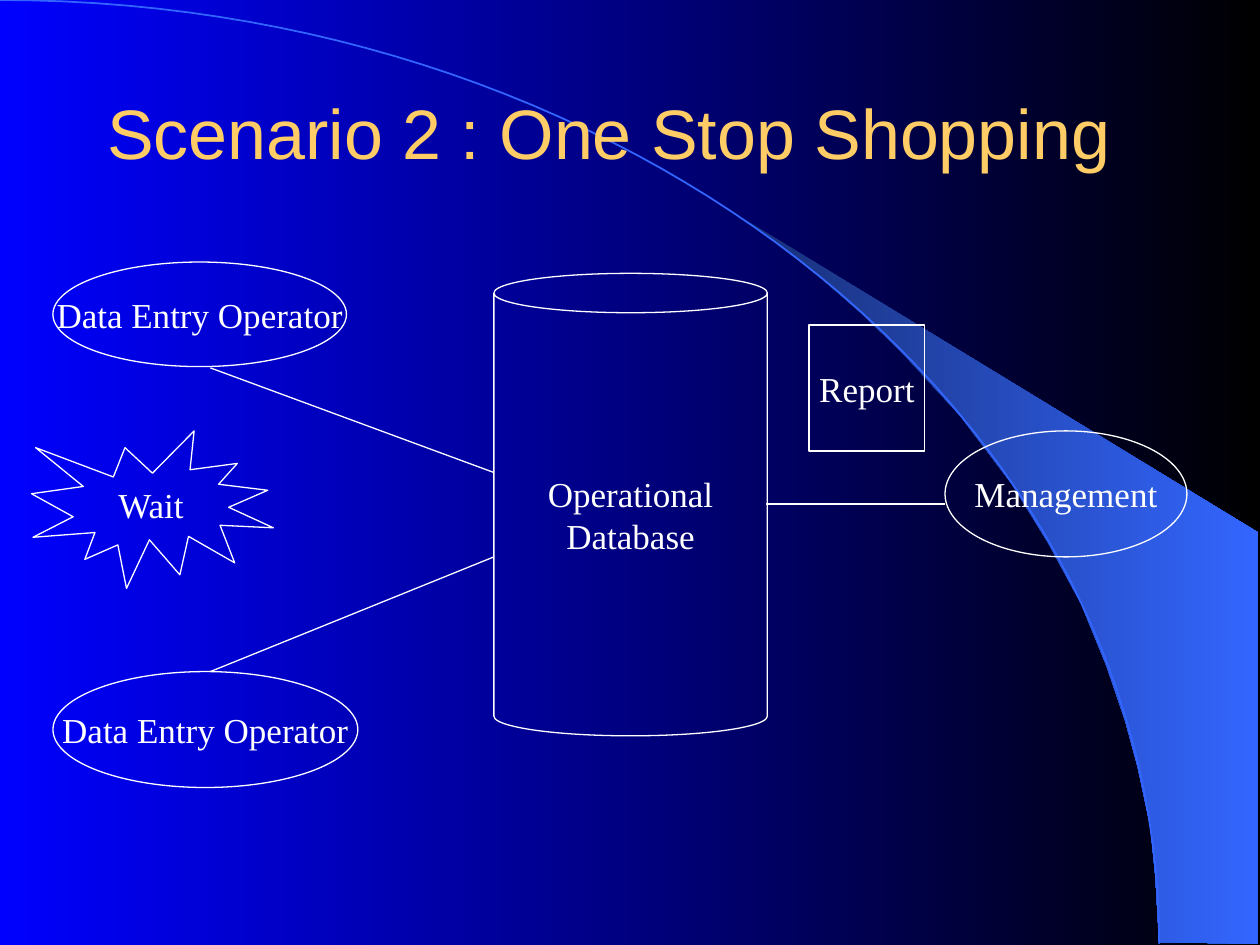
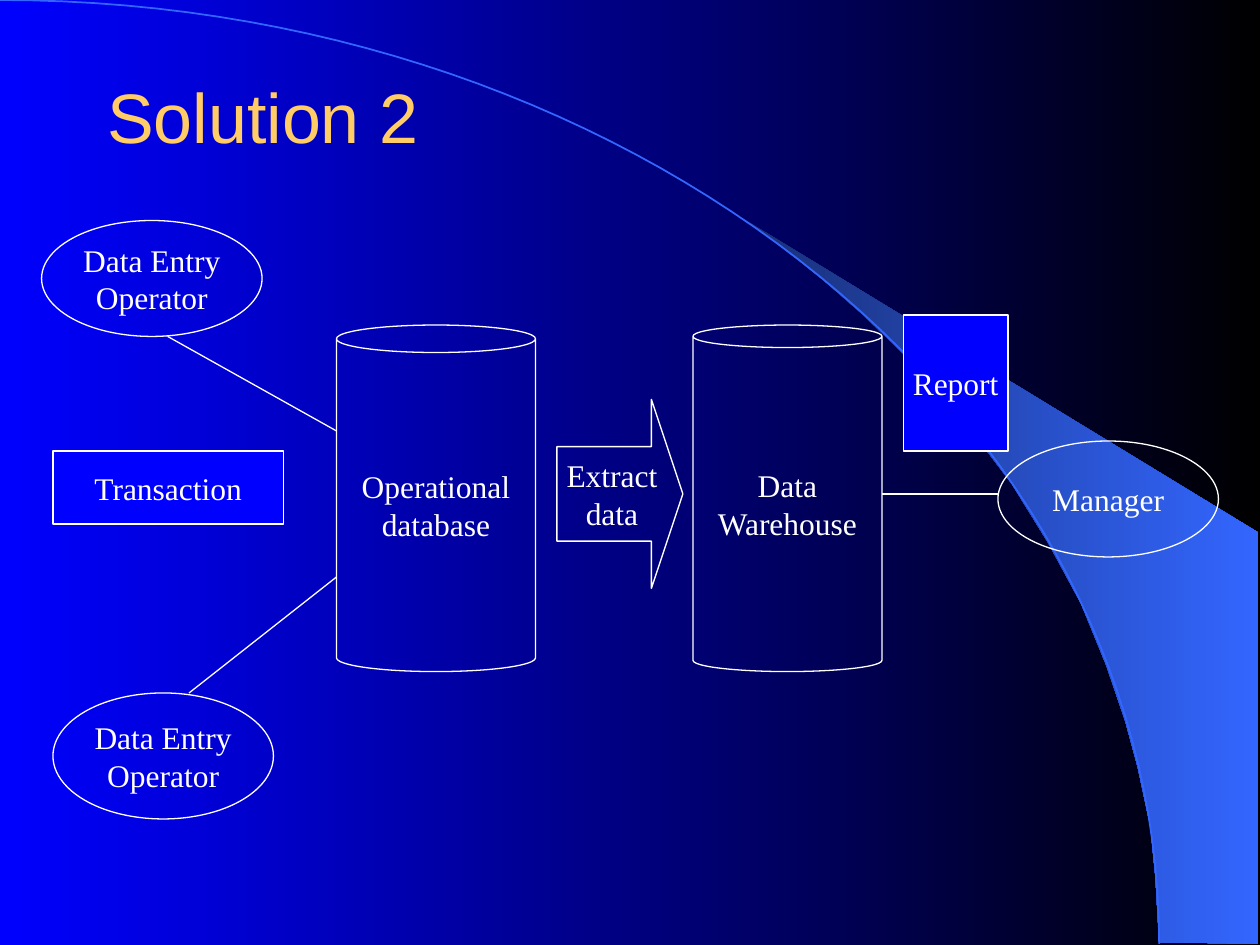
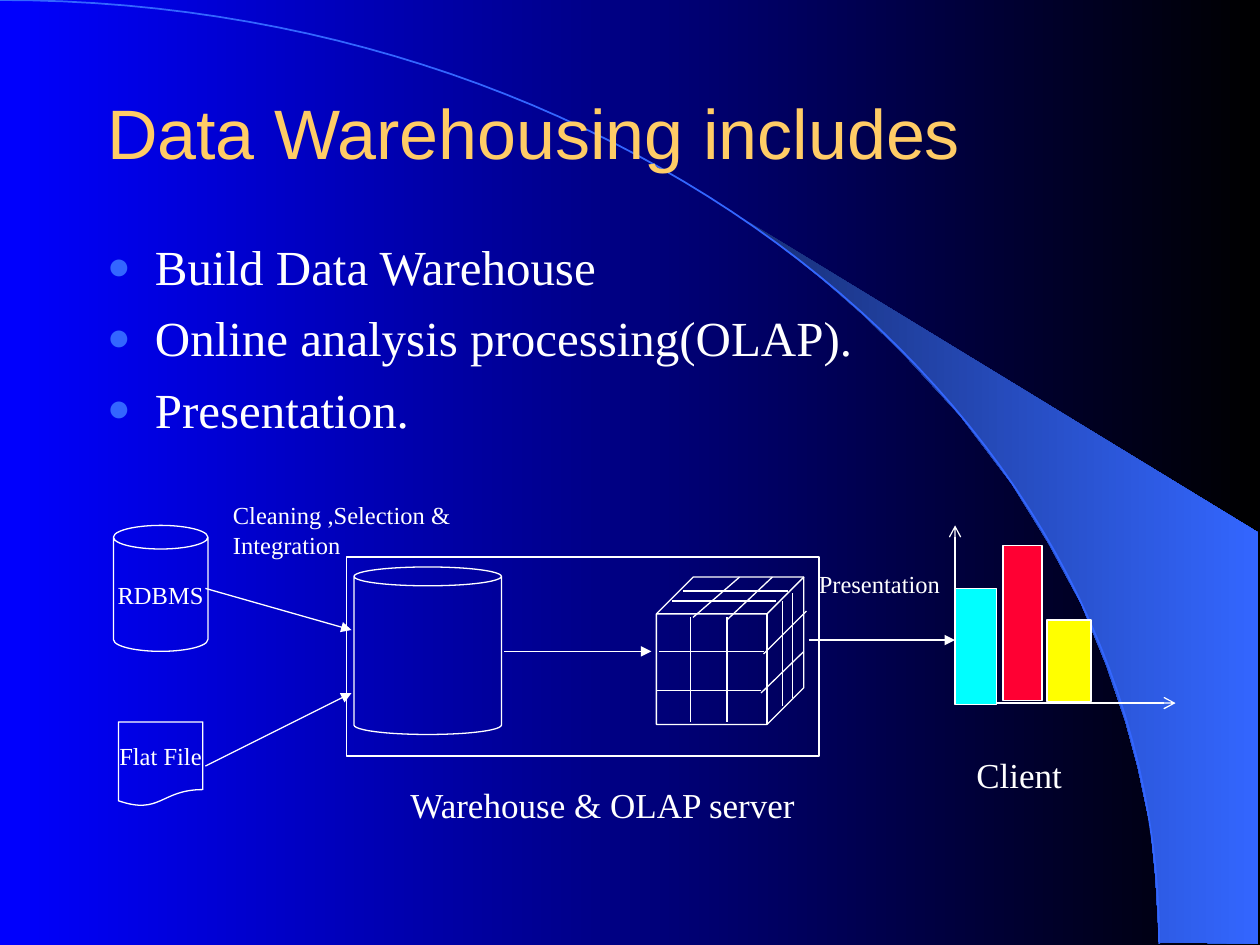
from lxml.etree import SubElement
from pptx import Presentation
from pptx.dml.color import RGBColor
from pptx.enum.shapes import MSO_CONNECTOR, MSO_SHAPE
from pptx.enum.text import MSO_ANCHOR, MSO_AUTO_SIZE, PP_ALIGN
from pptx.oxml.ns import qn
from pptx.util import Inches, Pt

BLUE, BLACK, WHITE = "0000FF", "000000", "FFFFFF"
GOLD, ACCENT, DEEP_BLUE = "FFCC66", "3366FF", "182F76"
CYAN, RED, YELLOW = "00FFFF", "FF0033", "FFFF00"
TITLE_FONT, BODY_FONT = "Arial", "Times New Roman"
TITLE_AND_CONTENT, TITLE_ONLY = 1, 5
LINE_WIDTH = 0.75

WEDGE = [(9.2, 7.48), (9.99, 7.49), (9.99, 4.23), (5.89, 1.73), (6.24, 1.99),
         (6.53, 2.22), (6.85, 2.5), (7.16, 2.8), (7.62, 3.3), (8.03, 3.84),
         (8.32, 4.31), (8.58, 4.79), (8.78, 5.28), (8.93, 5.72), (9.03, 6.09),
         (9.13, 6.56), (9.17, 6.96)]
ARC_CONTROLS = [(0, 0), (5.08, 0), (9.2, 3.35), (9.2, 7.49)]
ARC_STEPS = 60


def color(hex_value):
    return RGBColor.from_string(hex_value)


def set_format(target, values):
    for name, value in values.items():
        setattr(target, name, value)


def place(shape, box):
    set_format(shape, dict(zip(("left", "top", "width", "height"), map(Inches, box))))


def set_gradient(fill, start, end):
    fill.gradient()
    fill.gradient_angle = 0
    for stop, hex_value in zip(fill.gradient_stops, (start, end)):
        stop.color.rgb = color(hex_value)


def set_line(line, hex_value=WHITE, width=LINE_WIDTH):
    line.color.rgb = color(hex_value)
    line.width = Pt(width)


def set_text(frame, text, size, font_name=BODY_FONT, hex_value=WHITE,
             alignment=PP_ALIGN.LEFT, **frame_format):
    """Write one paragraph for each line of text."""
    frame.text = text
    set_format(frame, frame_format)
    for paragraph in frame.paragraphs:
        paragraph.alignment = alignment
        for run in paragraph.runs:
            set_format(run.font, {"name": font_name, "size": Pt(size)})
            run.font.color.rgb = color(hex_value)


def bezier_points(controls, steps):
    (x0, y0), (x1, y1), (x2, y2), (x3, y3) = controls
    points = []
    for step in range(steps + 1):
        t = step / steps
        a, b, c, d = (1 - t) ** 3, 3 * t * (1 - t) ** 2, 3 * t ** 2 * (1 - t), t ** 3
        points.append((a * x0 + b * x1 + c * x2 + d * x3,
                       a * y0 + b * y1 + c * y2 + d * y3))
    return points


def add_outline(slide, points, close):
    scaled = [(Inches(x), Inches(y)) for x, y in points]
    builder = slide.shapes.build_freeform(*scaled[0])
    builder.add_line_segments(scaled[1:], close=close)
    shape = builder.convert_to_shape()
    shape.shadow.inherit = False
    return shape


def build_master(presentation, slide):
    """Draw the backdrop on a slide and move it to the master of all slides."""
    master = presentation.slide_master
    set_gradient(master.background.fill, BLUE, BLACK)
    wedge = add_outline(slide, WEDGE, close=True)
    set_gradient(wedge.fill, DEEP_BLUE, ACCENT)
    wedge.line.fill.background()
    arc = add_outline(slide, bezier_points(ARC_CONTROLS, ARC_STEPS), close=False)
    arc.fill.background()
    set_line(arc.line, ACCENT, 1)
    for index, shape in enumerate((wedge, arc)):
        shape.element.nvSpPr.cNvPr.set("id", str(20 + index))
        master.shapes.element.insert(2 + index, shape.element)


def add_titled_slide(presentation, title, height=0.75, layout=TITLE_ONLY):
    slide = presentation.slides.add_slide(presentation.slide_layouts[layout])
    place(slide.shapes.title, (0.75, 0.67, 8.5, height))
    set_text(slide.shapes.title.text_frame, title, 40, TITLE_FONT, GOLD,
             vertical_anchor=MSO_ANCHOR.MIDDLE, auto_size=MSO_AUTO_SIZE.NONE)
    return slide


def add_node(slide, kind, box, text="", size=20, fill=None, adjustments=()):
    shape = slide.shapes.add_shape(kind, *map(Inches, box))
    shape.shadow.inherit = False
    for index, value in enumerate(adjustments):
        shape.adjustments[index] = value
    if fill:
        shape.fill.solid()
        shape.fill.fore_color.rgb = color(fill)
    else:
        shape.fill.background()
    set_line(shape.line)
    if text:
        set_text(shape.text_frame, text, size, alignment=PP_ALIGN.CENTER,
                 vertical_anchor=MSO_ANCHOR.MIDDLE, word_wrap=False)


def add_link(slide, start, end, **arrowheads):
    """Draw a line; arrowheads maps headEnd or tailEnd to its type."""
    connector = slide.shapes.add_connector(
        MSO_CONNECTOR.STRAIGHT, *map(Inches, (*start, *end)))
    set_line(connector.line)
    properties = connector.element.spPr
    for name, kind in arrowheads.items():
        SubElement(properties.find(qn("a:ln")), qn(f"a:{name}"), type=kind)
    SubElement(properties, qn("a:effectLst"))


def add_label(slide, box, text, size):
    label = slide.shapes.add_textbox(*map(Inches, box))
    set_text(label.text_frame, text, size, word_wrap=False,
             auto_size=MSO_AUTO_SIZE.SHAPE_TO_FIT_TEXT)


def add_bullets(slide, box, items):
    body = slide.placeholders[1]
    place(body, box)
    set_text(body.text_frame, "\n".join(items), 28, auto_size=MSO_AUTO_SIZE.NONE)
    for index, paragraph in enumerate(body.text_frame.paragraphs):
        paragraph.space_before = Pt(7 if index else 0)
        properties = paragraph._p.get_or_add_pPr()
        properties.set("marL", str(Inches(0.38)))
        properties.set("indent", str(Inches(-0.38)))
        bullet_color = SubElement(properties, qn("a:buClr"))
        SubElement(bullet_color, qn("a:srgbClr"), val=ACCENT)
        SubElement(properties, qn("a:buSzPct"), val="80000")
        SubElement(properties, qn("a:buFont"), typeface=BODY_FONT)
        SubElement(properties, qn("a:buChar"), char="●")


def add_cube_grid(slide):
    """Draw the cell lines on the three visible faces of the cube."""
    length = 0.83
    for x, y in ((5.48, 4.9), (5.77, 4.9), (6.21, 4.77), (6.29, 4.71)):
        add_link(slide, (x, y), (x, y + length))
    for x, y in ((5.23, 5.17), (5.21, 5.48), (5.33, 4.77), (5.42, 4.69)):
        add_link(slide, (x, y), (x + length, y))
    for start, end in (((6.13, 4.58), (5.77, 4.92)), ((5.87, 4.58), (5.5, 4.9)),
                       ((6.04, 5.5), (6.38, 5.17)), ((6.06, 5.19), (6.4, 4.85))):
        add_link(slide, start, end)


def build_scenario(slide):
    add_node(slide, MSO_SHAPE.CAN, (3.92, 2.17, 2.17, 3.67),
             "Operational\nDatabase", adjustments=[0.144])
    for box, text in (((0.42, 2.08, 2.33, 0.83), "Data Entry Operator"),
                      ((0.42, 5.33, 2.42, 0.92), "Data Entry Operator"),
                      ((7.5, 3.42, 1.92, 1), "Management")):
        add_node(slide, MSO_SHAPE.OVAL, box, text)
    for start, end in (((1.67, 2.92), (3.92, 3.75)), ((1.67, 5.33), (3.92, 4.42)),
                       ((6.08, 4), (7.5, 4))):
        add_link(slide, start, end)
    add_node(slide, MSO_SHAPE.EXPLOSION1, (0.25, 3.42, 1.92, 1.25), "Wait")
    add_node(slide, MSO_SHAPE.RECTANGLE, (6.42, 2.58, 0.92, 1), "Report")


def build_solution(slide):
    size = 18
    add_node(slide, MSO_SHAPE.CAN, (2.67, 2.58, 1.58, 2.75),
             "Operational\ndatabase", size, adjustments=[0.138])
    add_node(slide, MSO_SHAPE.CAN, (5.5, 2.58, 1.5, 2.75),
             "Data\nWarehouse", size, adjustments=[0.119])
    add_node(slide, MSO_SHAPE.RIGHT_ARROW, (4.42, 3.17, 1, 1.5),
             "Extract\ndata", size, adjustments=[0.5, 0.25])
    for box, text in (((0.42, 5.5, 1.75, 1), "Data Entry\nOperator"),
                      ((0.33, 1.75, 1.75, 0.92), "Data Entry\nOperator"),
                      ((7.92, 3.5, 1.75, 0.92), "Manager")):
        add_node(slide, MSO_SHAPE.OVAL, box, text, size)
    for start, end in (((1.33, 2.67), (2.67, 3.42)), ((1.5, 5.5), (2.67, 4.58)),
                       ((7, 3.92), (7.92, 3.92))):
        add_link(slide, start, end)
    for box, text in (((7.17, 2.5, 0.83, 1.08), "Report"),
                      ((0.42, 3.58, 1.83, 0.58), "Transaction")):
        add_node(slide, MSO_SHAPE.RECTANGLE, box, text, size, BLUE)


def build_components(slide):
    add_bullets(slide, (0.75, 1.83, 8.5, 1.83),
                ["Build Data Warehouse", "Online analysis processing(OLAP).",
                 "Presentation."])
    add_node(slide, MSO_SHAPE.CAN, (0.9, 4.17, 0.75, 1), "RDBMS", 14,
             adjustments=[0.25])
    add_node(slide, MSO_SHAPE.FLOWCHART_DOCUMENT, (0.94, 5.73, 0.67, 0.67),
             "Flat File", 14)
    add_node(slide, MSO_SHAPE.CAN, (2.81, 4.5, 1.17, 1.33), adjustments=[0.128])
    add_node(slide, MSO_SHAPE.CUBE, (5.21, 4.58, 1.17, 1.17), adjustments=[0.25])
    add_cube_grid(slide)
    for start, end in (((1.63, 4.67), (2.79, 5)), ((1.63, 6.08), (2.79, 5.5)),
                       ((4, 5.17), (5.17, 5.17))):
        add_link(slide, start, end, tailEnd="triangle")

    axis_origin = (7.58, 5.58)
    add_link(slide, (7.58, 4.17), axis_origin, headEnd="arrow")
    add_link(slide, axis_origin, (9.33, 5.58), tailEnd="arrow")
    for box, fill in (((7.58, 4.67, 0.33, 0.92), CYAN),
                      ((7.96, 4.33, 0.31, 1.23), RED),
                      ((8.31, 4.92, 0.35, 0.65), YELLOW)):
        add_node(slide, MSO_SHAPE.RECTANGLE, box, fill=fill)
    add_link(slide, (6.42, 5.08), (7.58, 5.08), tailEnd="triangle")

    add_node(slide, MSO_SHAPE.RECTANGLE, (2.75, 4.42, 3.75, 1.58))
    for box, text, size in (
            ((6.4, 4.47, 1.2, 0.34), "Presentation", 14),
            ((1.75, 3.92, 1.95, 0.57), "Cleaning ,Selection &\nIntegration", 14),
            ((3.16, 6.17, 3.3, 0.44), "Warehouse & OLAP server", 20),
            ((7.65, 5.93, 0.9, 0.44), "Client", 20)):
        add_label(slide, box, text, size)


def main():
    presentation = Presentation()
    set_format(presentation, {"slide_width": Inches(10), "slide_height": Inches(7.5)})
    scenario = add_titled_slide(presentation, "Scenario 2 : One Stop Shopping")
    build_master(presentation, scenario)
    build_scenario(scenario)
    build_solution(add_titled_slide(presentation, "Solution 2", height=0.5))
    build_components(add_titled_slide(presentation, "Data Warehousing includes",
                                      layout=TITLE_AND_CONTENT))
    presentation.save("out.pptx")


if __name__ == "__main__":
    main()
